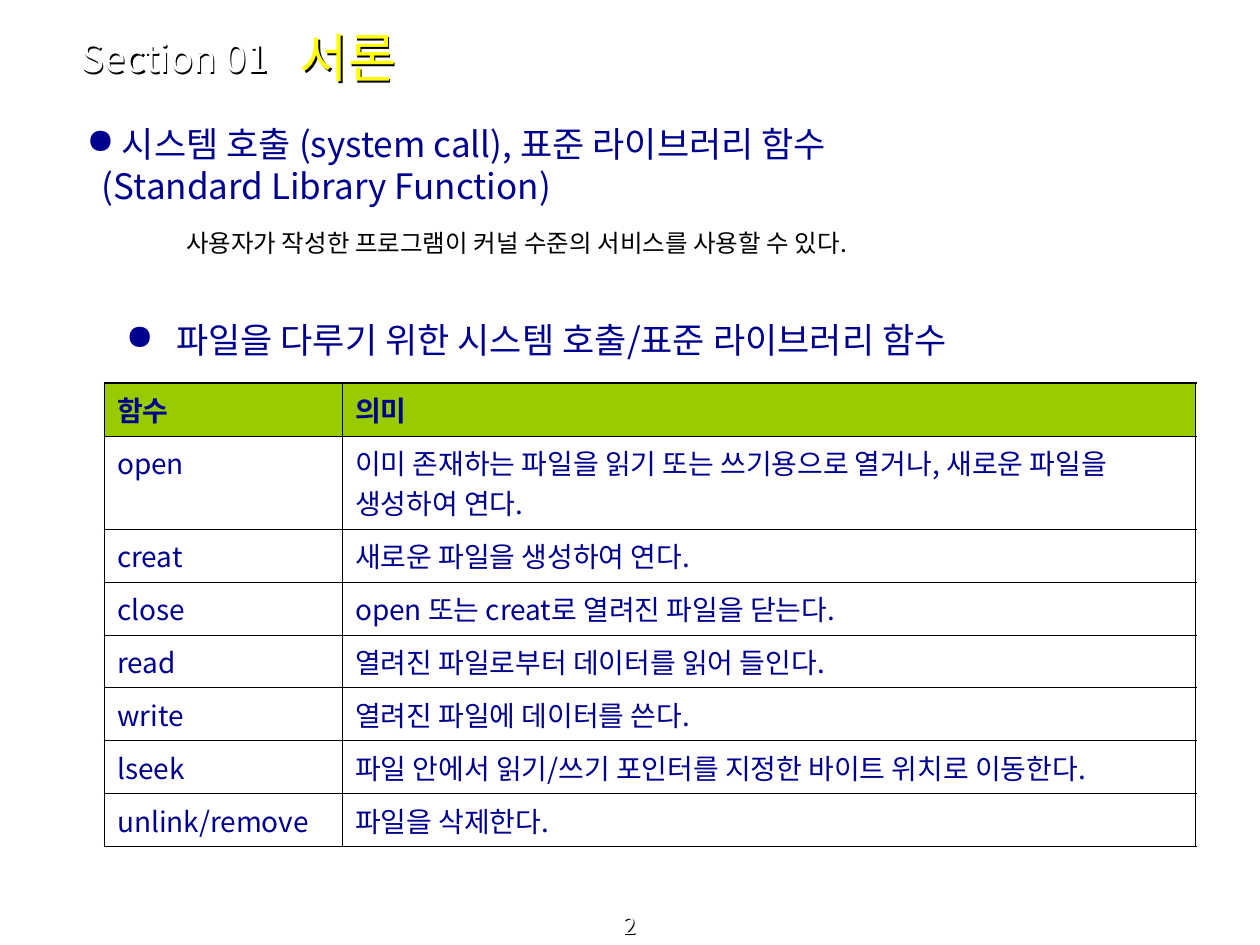
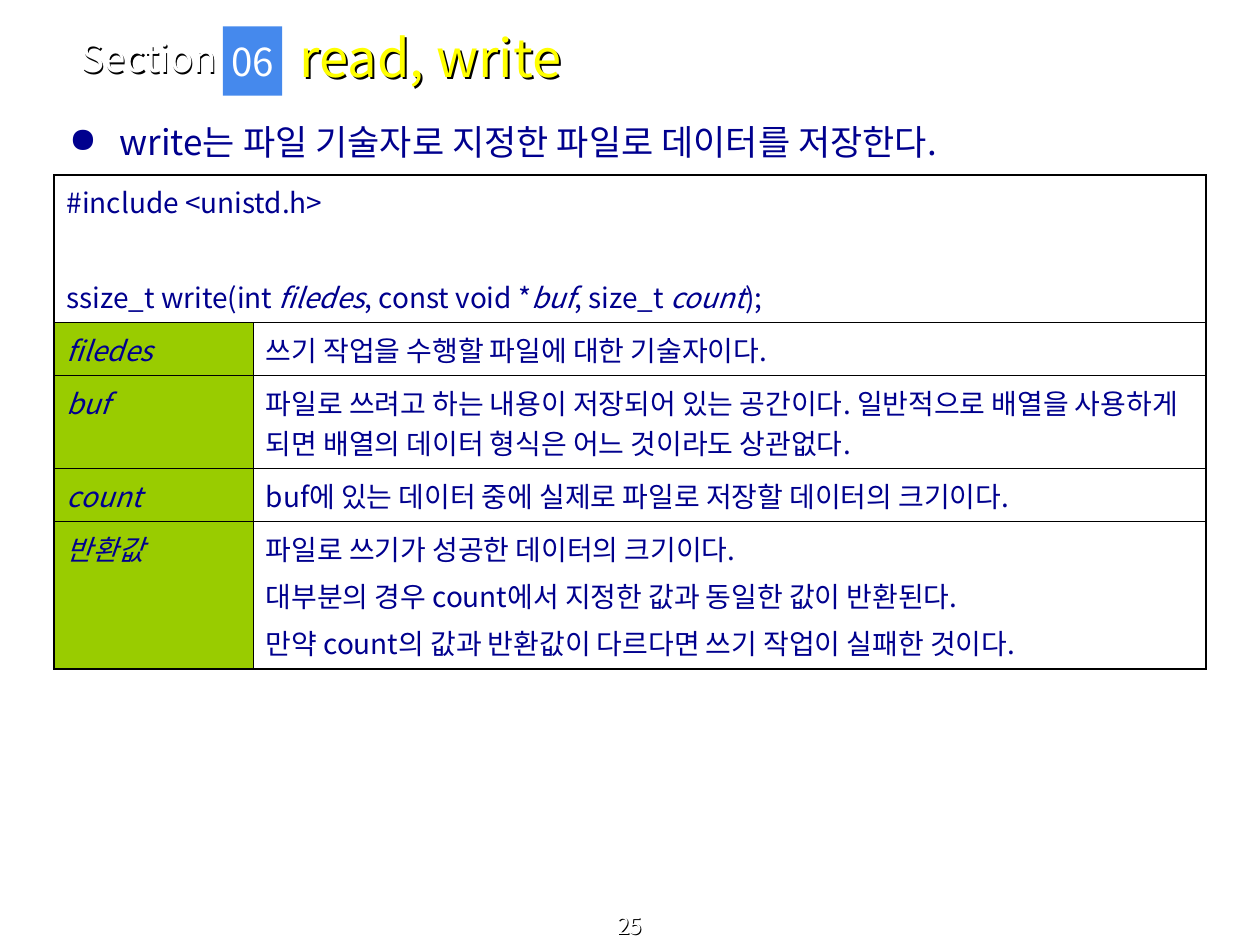
from dataclasses import dataclass
from typing import NamedTuple

import lxml.etree
import pptx
import pptx.dml.color
import pptx.enum.shapes
import pptx.enum.text
import pptx.oxml
import pptx.oxml.ns
import pptx.util

Align = pptx.enum.text.PP_ALIGN
Anchor = pptx.enum.text.MSO_ANCHOR
qn = pptx.oxml.ns.qn

# The slide is a grid of 100 columns and 75 rows of square units.
COLUMNS, ROWS = 100, 75
UNIT = pptx.util.Inches(0.1)


@dataclass(frozen=True)
class Theme:
    font: str = "Noto Sans CJK KR"
    ink: str = "00008E"
    black: str = "000000"
    white: str = "FFFFFF"
    title: str = "FFFF00"
    badge: str = "4589ED"
    header: str = "99CC00"
    title_size: int = 30
    section_size: int = 22
    topic_size: int = 20
    cell_size: int = 16
    note_size: int = 14
    page_size: int = 13
    cell_gap: int = 4
    outer_line: float = 1.08
    inner_line: float = 0.45


THEME = Theme()


class Box(NamedTuple):
    left: float
    top: float
    width: float
    height: float

    def lengths(self) -> list[int]:
        return [units(share) for share in self]


class Style(NamedTuple):
    size: int
    color: str
    bold: bool = False
    italic: bool = False


class Run(NamedTuple):
    text: str
    italic: bool = False


class Para(NamedTuple):
    runs: tuple[Run, ...]
    style: Style
    before: float = 0
    align: Align = Align.LEFT
    bullet: bool = False
    margin: float = 0
    hang: float = 0


class Cell(NamedTuple):
    paras: list[Para]
    fill: str | None = None


TITLE_BOX = Box(22.8, 1.1, 64.9, 6.8)
SECTION_BOX = Box(5.5, 2.7, 19.3, 3.7)
BADGE_BOX = Box(17.7, 2.1, 4.7, 5.5)
PAGE_BOX = Box(0, 72.8, COLUMNS, 2.2)

TITLE = Style(THEME.title_size, THEME.title)
SECTION = Style(THEME.section_size, THEME.white)
PAGE = Style(THEME.page_size, THEME.white)
TOPIC = Style(THEME.topic_size, THEME.ink)
NOTE = Style(THEME.note_size, THEME.black)
BODY = Style(THEME.cell_size, THEME.ink)
HEADING = BODY._replace(bold=True)
TERM = BODY._replace(italic=True)


def units(count: float) -> int:
    return round(count * UNIT)


def rgb(color: str) -> pptx.dml.color.RGBColor:
    return pptx.dml.color.RGBColor.from_string(color)


def line(text: str, style: Style, **options) -> Para:
    return Para((Run(text),), style, **options)


def topic(text: str, margin: float, hang: float) -> Para:
    return line(text, TOPIC, bullet=True, margin=margin, hang=hang)


def add_solid_color(parent, tag: str, color: str) -> None:
    holder = lxml.etree.SubElement(parent, qn(tag))
    lxml.etree.SubElement(holder, qn("a:srgbClr"), val=color)


# Text
def write(frame, paras: list[Para]) -> None:
    for index, para in enumerate(paras):
        paragraph = frame.paragraphs[0] if index == 0 else frame.add_paragraph()
        paragraph.alignment = para.align
        paragraph.space_before = pptx.util.Pt(para.before)
        properties = paragraph._p.get_or_add_pPr()
        properties.set("marL", str(units(para.margin)))
        properties.set("indent", str(-units(para.hang)))
        if para.bullet:
            add_solid_color(properties, "a:buClr", para.style.color)
            lxml.etree.SubElement(properties, qn("a:buChar"), char="●")
        font = paragraph.font
        font.name = THEME.font
        font.size = pptx.util.Pt(para.style.size)
        font.bold = para.style.bold
        font.italic = para.style.italic
        font.color.rgb = rgb(para.style.color)
        lxml.etree.SubElement(font._element, qn("a:ea"), typeface=THEME.font)
        for part in para.runs:
            run = paragraph.add_run()
            run.text = part.text
            if part.italic:
                run.font.italic = True


def place(shape, box: Box) -> None:
    shape.left, shape.top, shape.width, shape.height = box.lengths()


def cast_text_shadow(shape, size: int) -> None:
    effects = lxml.etree.SubElement(shape._element.spPr, qn("a:effectLst"))
    shadow = lxml.etree.SubElement(
        effects, qn("a:outerShdw"), dist=str(pptx.util.Pt(size / 20)),
        dir="2700000", algn="tl", rotWithShape="0")
    lxml.etree.SubElement(shadow, qn("a:srgbClr"), val=THEME.black)


def add_text(slide, box: Box, paras: list[Para], anchor: Anchor = Anchor.TOP):
    text_box = slide.shapes.add_textbox(*box.lengths())
    text_box.text_frame.word_wrap = True
    text_box.text_frame.vertical_anchor = anchor
    write(text_box.text_frame, paras)
    return text_box


# Tables
def draw_borders(cell, edges: dict[str, bool]) -> None:
    properties = cell._tc.get_or_add_tcPr()
    for position, (side, outer) in enumerate(edges.items()):
        width = pptx.util.Pt(THEME.outer_line if outer else THEME.inner_line)
        border = lxml.etree.Element(qn(f"a:ln{side}"), w=str(width))
        add_solid_color(border, "a:solidFill", THEME.black)
        properties.insert(position, border)


def add_table(slide, box: Box, widths: list[float], heights: list[float],
              rows: list[list[Cell]]) -> None:
    frame = slide.shapes.add_table(len(rows), len(widths), *box.lengths())
    table = frame.table
    for column, width in zip(table.columns, widths):
        column.width = units(width)
    for row, height in zip(table.rows, heights):
        row.height = units(height)
    last_row, last_column = len(rows) - 1, len(widths) - 1
    for r, row in enumerate(rows):
        spans = len(row) < len(widths)
        if spans:
            table.cell(r, 0).merge(table.cell(r, last_column))
        for c, content in enumerate(row):
            cell = table.cell(r, c)
            if content.fill:
                cell.fill.solid()
                cell.fill.fore_color.rgb = rgb(content.fill)
            else:
                cell.fill.background()
            write(cell.text_frame, content.paras)
            draw_borders(cell, {"L": c == 0, "R": spans or c == last_column,
                                "T": r == 0, "B": r == last_row})


def text_cell(*texts: str, style: Style = BODY, fill: str | None = None) -> Cell:
    return Cell([line(text, style, before=THEME.cell_gap) for text in texts], fill)


# Parts that both slides share
def start_slide(deck, section: str, title: str, page: int):
    slide = deck.slides.add_slide(deck.slide_layouts[5])
    number = add_text(slide, PAGE_BOX, [line(str(page), PAGE, align=Align.CENTER)],
                      Anchor.BOTTOM)
    cast_text_shadow(number, PAGE.size)
    label = add_text(slide, SECTION_BOX, [line(section, SECTION)], Anchor.MIDDLE)
    cast_text_shadow(label, SECTION.size)

    heading = slide.shapes.title
    place(heading, TITLE_BOX)
    heading.fill.background()
    heading.text_frame.auto_size = pptx.enum.text.MSO_AUTO_SIZE.NONE
    heading.text_frame.word_wrap = True
    heading.text_frame.vertical_anchor = Anchor.MIDDLE
    write(heading.text_frame, [line(title, TITLE)])
    cast_text_shadow(heading, TITLE.size)
    return slide


def build_introduction(deck) -> None:
    slide = start_slide(deck, "Section 01", "서론", 2)
    add_text(slide, Box(5.9, 9.2, 72.4, 8.6), [
        topic("시스템 호출 (system call), 표준 라이브러리 함수", 2.8, 2.8),
        line("(Standard Library Function)", TOPIC, margin=1.2),
    ])
    add_text(slide, Box(13.8, 17.6, 70, 3.4), [
        line("사용자가 작성한 프로그램이 커널 수준의 서비스를 사용할 수 있다.", NOTE)])
    add_text(slide, Box(5.9, 24.8, 93.3, 5.7), [
        topic("파일을 다루기 위한 시스템 호출/표준 라이브러리 함수", 7.1, 4)])

    functions = [
        ("open", "이미 존재하는 파일을 읽기 또는 쓰기용으로 열거나, 새로운 파일을 생성하여 연다."),
        ("creat", "새로운 파일을 생성하여 연다."),
        ("close", "open 또는 creat로 열려진 파일을 닫는다."),
        ("read", "열려진 파일로부터 데이터를 읽어 들인다."),
        ("write", "열려진 파일에 데이터를 쓴다."),
        ("lseek", "파일 안에서 읽기/쓰기 포인터를 지정한 바이트 위치로 이동한다."),
        ("unlink/remove", "파일을 삭제한다."),
    ]
    header = [text_cell(name, style=HEADING, fill=THEME.header)
              for name in ("함수", "의미")]
    rows = [[text_cell(name), text_cell(meaning)] for name, meaning in functions]
    add_table(slide, Box(8.3, 30.4, 86.6, 36.8), [18.9, 67.7],
              [4.2, 7.4] + [4.2] * 6, [header] + rows)


def build_write_call(deck) -> None:
    slide = start_slide(deck, "Section", "read, write", 25)
    badge = slide.shapes.add_shape(
        pptx.enum.shapes.MSO_SHAPE.RECTANGLE, *BADGE_BOX.lengths())
    badge.shadow.inherit = False
    badge.fill.solid()
    badge.fill.fore_color.rgb = rgb(THEME.badge)
    badge.line.fill.background()
    badge.text_frame.word_wrap = False
    badge.text_frame.vertical_anchor = Anchor.MIDDLE
    write(badge.text_frame, [line("06", SECTION, align=Align.CENTER)])

    add_text(slide, Box(3.3, 9.1, 93.3, 5.7), [
        topic("write는 파일 기술자로 지정한 파일로 데이터를 저장한다.", 5.2, 4)])

    signature = Para(
        (Run("ssize_t write(int "), Run("filedes", True), Run(", const void *"),
         Run("buf", True), Run(", size_t "), Run("count", True), Run(");")),
        BODY, before=31)
    prototype = Cell([line("#include <unistd.h>", BODY), signature])
    terms = [
        ("filedes", ["쓰기 작업을 수행할 파일에 대한 기술자이다."]),
        ("buf", ["파일로 쓰려고 하는 내용이 저장되어 있는 공간이다. 일반적으로 배열을 "
                 "사용하게 되면 배열의 데이터 형식은 어느 것이라도 상관없다."]),
        ("count", ["buf에 있는 데이터 중에 실제로 파일로 저장할 데이터의 크기이다."]),
        ("반환값", ["파일로 쓰기가 성공한 데이터의 크기이다.",
                 "대부분의 경우 count에서 지정한 값과 동일한 값이 반환된다.",
                 "만약 count의 값과 반환값이 다르다면 쓰기 작업이 실패한 것이다."]),
    ]
    rows = [[text_cell(term, style=TERM, fill=THEME.header), text_cell(*meaning)]
            for term, meaning in terms]
    add_table(slide, Box(4.3, 13.9, 91.4, 39.2), [15.8, 75.6],
              [11.7, 4.2, 7.4, 4.2, 11.7], [[prototype]] + rows)


def main() -> None:
    deck = pptx.Presentation()
    deck.slide_width, deck.slide_height = units(COLUMNS), units(ROWS)
    build_introduction(deck)
    build_write_call(deck)
    deck.save("out.pptx")


if __name__ == "__main__":
    main()
